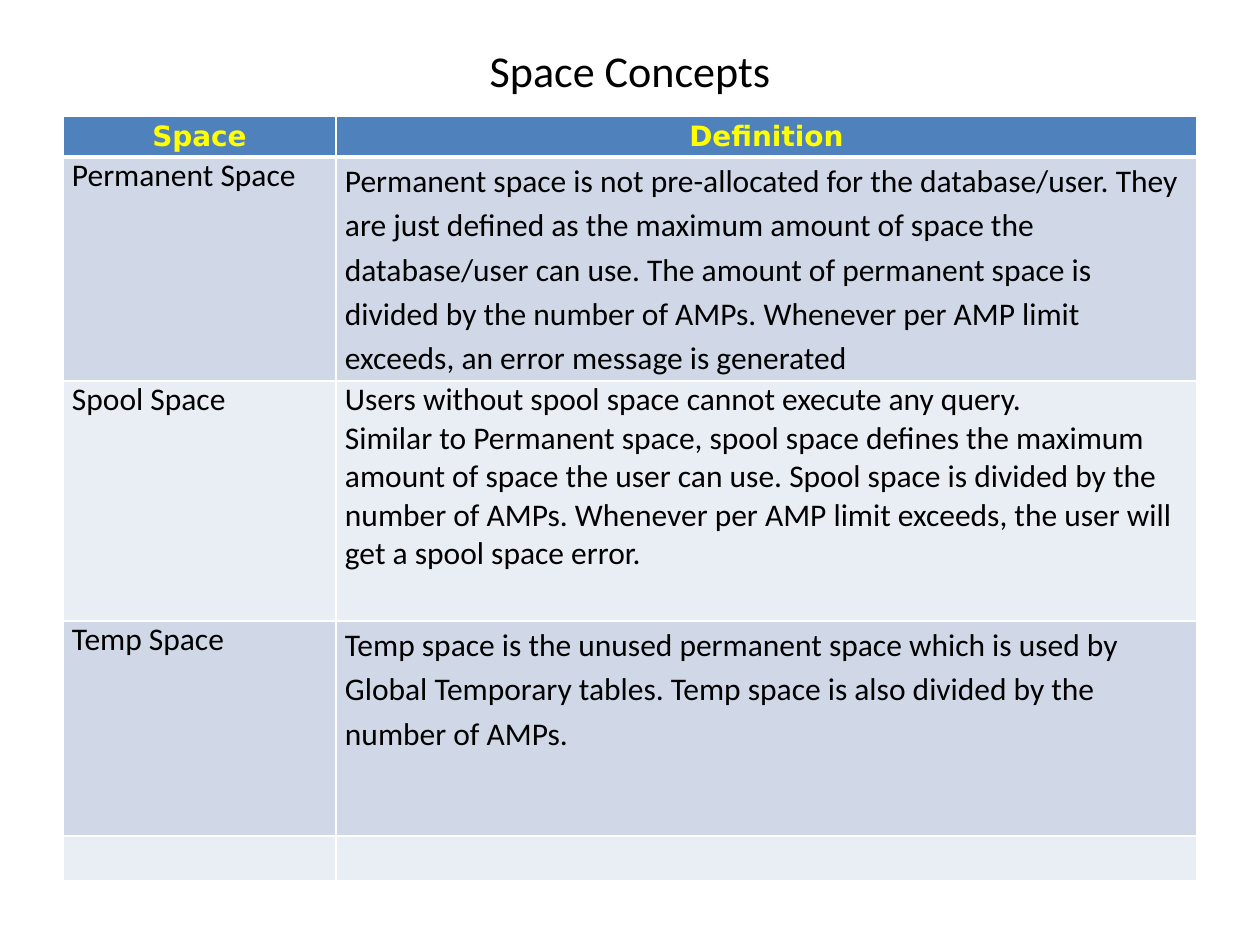
from lxml import etree
from pptx import Presentation
from pptx.dml.color import RGBColor
from pptx.enum.text import MSO_ANCHOR, PP_ALIGN
from pptx.oxml.ns import qn
from pptx.util import Pt

PIXEL = 914400 // 126
CENTER, LEFT = PP_ALIGN.CENTER, PP_ALIGN.LEFT
MIDDLE, TOP = MSO_ANCHOR.MIDDLE, MSO_ANCHOR.TOP
COLORS = {"text": "000000", "header_text": "FFFF00", "header": "4F81BD",
          "dark_band": "D0D8E8", "light_band": "E9EDF4", "border": "FFFFFF"}


def style_paragraph(paragraph, size, font_name, color, alignment, bold=False):
    paragraph.alignment = alignment
    paragraph.font.size = Pt(size)
    paragraph.font.name = font_name
    paragraph.font.bold = bold
    paragraph.font.color.rgb = RGBColor.from_string(COLORS[color])


def add_border(cell, side, points):
    line = etree.SubElement(cell._tc.get_or_add_tcPr(), qn(f"a:ln{side}"), w=str(Pt(points)))
    fill = etree.SubElement(line, qn("a:solidFill"))
    etree.SubElement(fill, qn("a:srgbClr"), val=COLORS["border"])


presentation = Presentation()
presentation.slide_width = 1260 * PIXEL
presentation.slide_height = 945 * PIXEL
slide = presentation.slides.add_slide(presentation.slide_layouts[6])

# Title
title = slide.shapes.add_textbox(63 * PIXEL, 23 * PIXEL, 1134 * PIXEL, 94 * PIXEL)
title_frame = title.text_frame
title_frame.word_wrap = True
title_frame.vertical_anchor = MIDDLE
title_frame.text = "Space Concepts"
style_paragraph(title_frame.paragraphs[0], 25.2, "Calibri", "text", CENTER)

# Table content: space, definition, line spacing of the definition
rows = [
    ("Space", "Definition", 1.15),
    ("Permanent Space",
     "Permanent space is not pre-allocated for the database/user. They are just "
     "defined as the maximum amount of space the database/user can use. The amount "
     "of permanent space is divided by the number of AMPs. Whenever per AMP limit "
     "exceeds, an error message is generated", 1.15),
    ("Spool Space",
     "Users without spool space cannot execute any query.\n"
     "Similar to Permanent space, spool space defines the maximum amount of space "
     "the user can use. Spool space is divided by the number of AMPs. Whenever per "
     "AMP limit exceeds, the user will get a spool space error.", 1),
    ("Temp Space",
     "Temp space is the unused permanent space which is used by Global Temporary "
     "tables. Temp space is also divided by the number of AMPs.", 1.15),
    ("", "", 1),
]
column_widths = [273, 861]
row_heights = [41, 224, 240, 215, 45]

# Table grid
table = slide.shapes.add_table(
    len(rows), len(column_widths), 63 * PIXEL, 116 * PIXEL,
    sum(column_widths) * PIXEL, sum(row_heights) * PIXEL).table
for column, width in zip(table.columns, column_widths):
    column.width = width * PIXEL
for row, height in zip(table.rows, row_heights):
    row.height = height * PIXEL

# Cells
for row_index, (space, definition, spacing) in enumerate(rows):
    is_header = row_index == 0
    band = "header" if is_header else "dark_band" if row_index % 2 else "light_band"
    for column_index, text in enumerate((space, definition)):
        cell = table.cell(row_index, column_index)
        cell.margin_left = cell.margin_right = 9 * PIXEL
        cell.margin_top = cell.margin_bottom = 0
        cell.vertical_anchor = TOP
        for side in "LRTB":
            under_header = (row_index, side) in ((0, "B"), (1, "T"))
            add_border(cell, side, 3 if under_header else 1)
        cell.fill.solid()
        cell.fill.fore_color.rgb = RGBColor.from_string(COLORS[band])
        cell.text = text
        for paragraph in cell.text_frame.paragraphs:
            if is_header:
                style_paragraph(paragraph, 16, "DejaVu Sans", "header_text", CENTER, True)
            else:
                style_paragraph(paragraph, 18, "Calibri", "text", LEFT)
            paragraph.line_spacing = spacing if is_header or column_index else 1.0

presentation.save("out.pptx")
